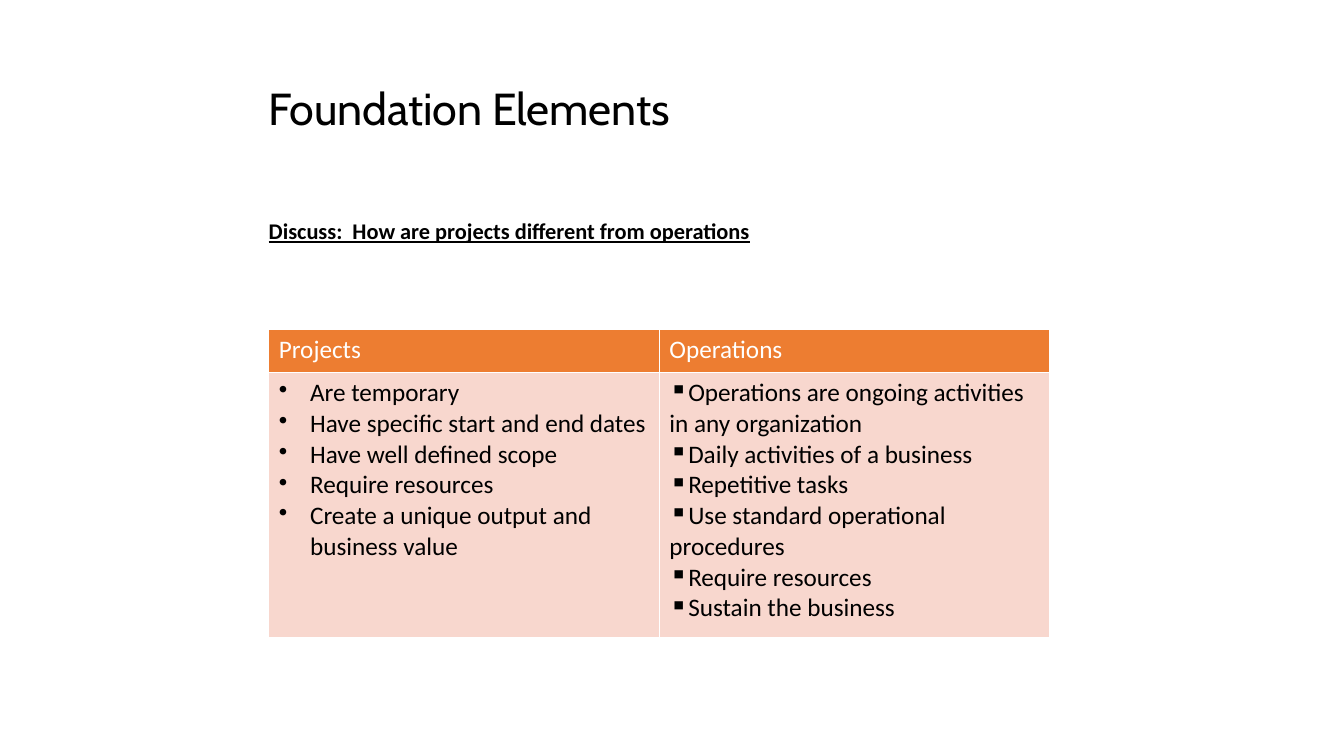
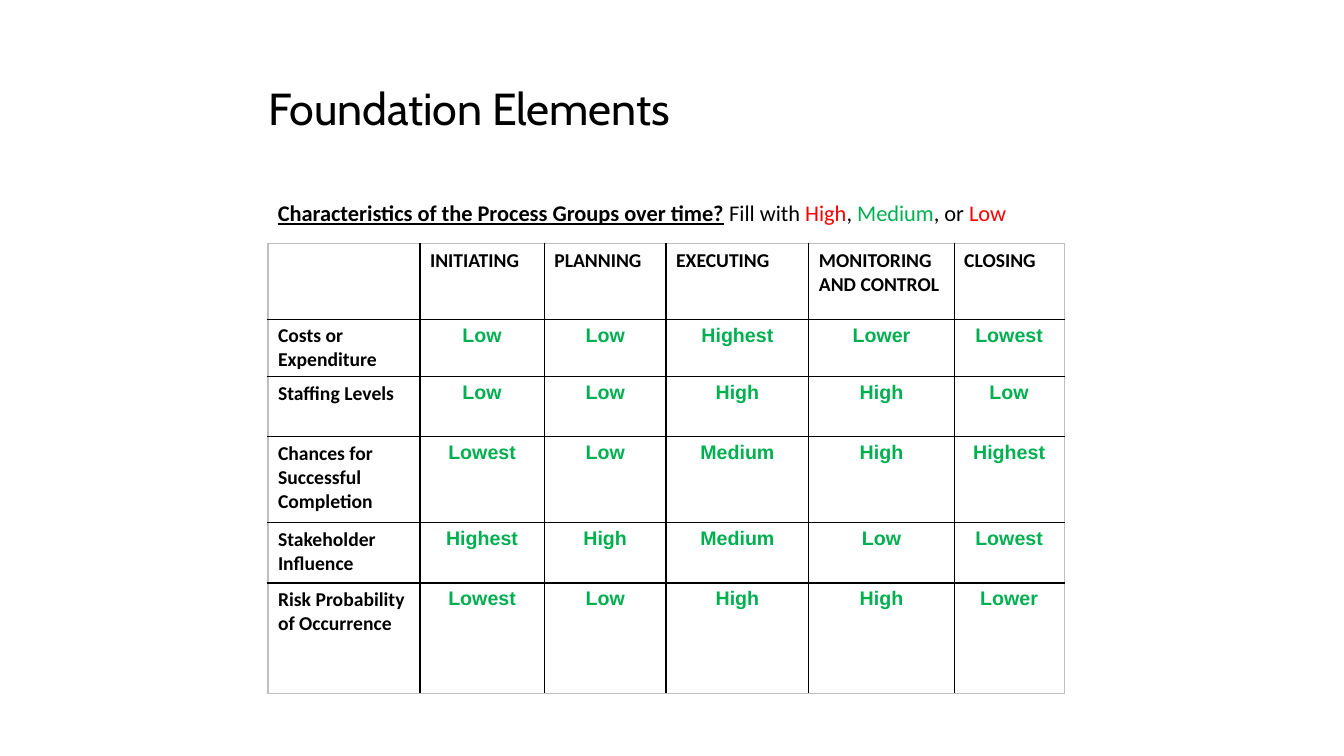
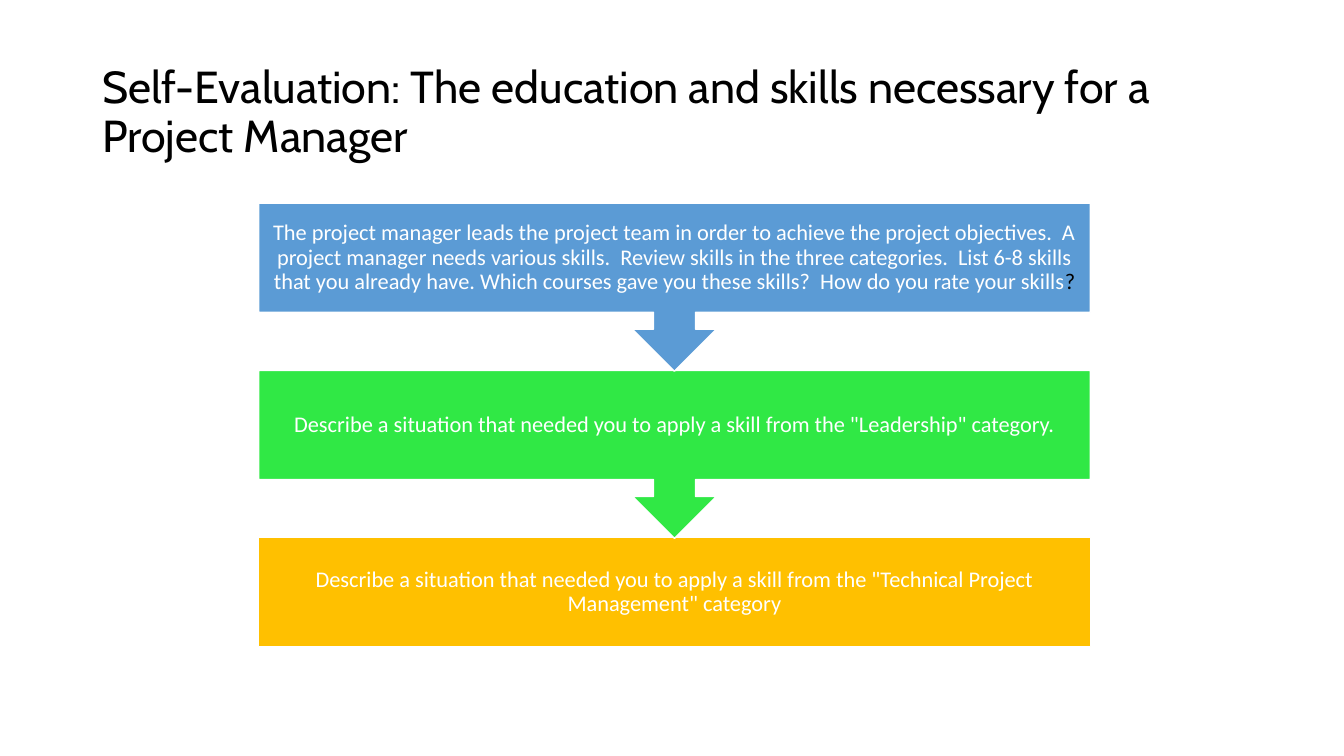
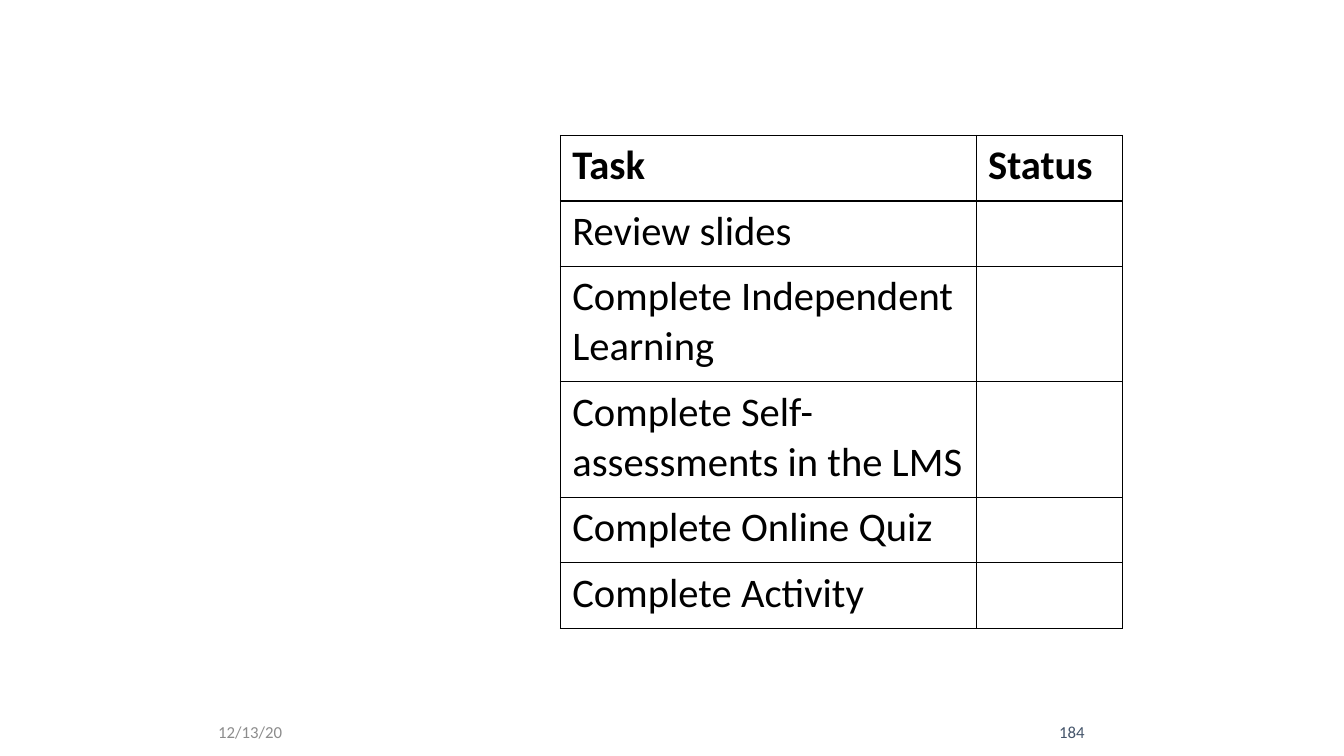
import dataclasses

import lxml.etree
import pptx
import pptx.dml.color
import pptx.enum.shapes
import pptx.enum.text
import pptx.oxml.ns
import pptx.util

COLUMNS, ROWS = 160, 90
CELL = pptx.util.Inches(1) // 12
CENTER = pptx.enum.text.PP_ALIGN.CENTER
RIGHT = pptx.enum.text.PP_ALIGN.RIGHT
MIDDLE = pptx.enum.text.MSO_ANCHOR.MIDDLE


@dataclasses.dataclass(frozen=True)
class Type:
    size: float
    color: str = "000000"
    font: str = "Calibri"
    bold: bool = False
    underline: bool = False


@dataclasses.dataclass(frozen=True)
class Theme:
    black: str = "000000"
    white: str = "FFFFFF"
    frame: str = "BFBFBF"
    header: str = "ED7D31"
    body: str = "F8D7CE"
    steps: tuple = ("5B9BD5", "30E845", "FFC000")
    title: Type = Type(32, font="Cabin")
    prompt: Type = Type(16, bold=True, underline=True)
    plain: Type = Type(16)
    high: Type = Type(16, "FF0000")
    medium: Type = Type(16, "00B050")
    step: Type = Type(16, "FFFFFF")
    compare_head: Type = Type(18, "FFFFFF")
    compare_body: Type = Type(18)
    label: Type = Type(14, bold=True)
    rating: Type = Type(14, "00B050", "Arial", True)
    task_head: Type = Type(29, bold=True)
    task: Type = Type(29)
    date: Type = Type(12, "8C8C8C")
    number: Type = Type(12, "44546A")


THEME = Theme()


def rgb(color):
    return pptx.dml.color.RGBColor.from_string(color)


def grid(length):
    """Turn a number of grid columns or rows into a length."""
    return pptx.util.Emu(round(length * CELL))


def style_run(run, style):
    font = run.font
    font.name, font.size = style.font, pptx.util.Pt(style.size)
    font.bold, font.underline = style.bold, style.underline
    font.color.rgb = rgb(style.color)


def style_frame(text_frame, style, align=None, line_spacing=None):
    for paragraph in text_frame.paragraphs:
        paragraph.alignment = align
        paragraph.line_spacing = line_spacing
        for run in paragraph.runs:
            style_run(run, style)


def add_text(slide, box, parts, align=None, anchor=None, line_spacing=None, side=0.1):
    """Place one paragraph made of (text, style) parts."""
    shape = slide.shapes.add_textbox(*map(grid, box))
    text_frame = shape.text_frame
    text_frame.word_wrap = True
    text_frame.vertical_anchor = anchor
    text_frame.margin_left = text_frame.margin_right = pptx.util.Inches(side)
    paragraph = text_frame.paragraphs[0]
    paragraph.alignment, paragraph.line_spacing = align, line_spacing
    for text, style in parts:
        run = paragraph.add_run()
        run.text = text
        style_run(run, style)
    return shape


def add_title(slide, box, text, tracking=0):
    shape = add_text(slide, box, [(text, THEME.title)], anchor=MIDDLE, line_spacing=0.9)
    if tracking:
        properties = shape.text_frame.paragraphs[0].runs[0].font._element
        properties.set("spc", str(round(tracking * 100)))


def add_foundation_title(slide):
    add_title(slide, (30.8, 3.7, 103.2, 19.1), "Foundation Elements", tracking=-0.1)


def set_borders(cell, left, right, top, bottom):
    """Draw the four sides of a cell, each given as (color, points)."""
    properties = cell._tc.get_or_add_tcPr()
    sides = zip(("lnL", "lnR", "lnT", "lnB"), (left, right, top, bottom))
    for index, (name, (color, width)) in enumerate(sides):
        line = lxml.etree.Element(pptx.oxml.ns.qn(f"a:{name}"), w=str(pptx.util.Pt(width)))
        fill = lxml.etree.SubElement(line, pptx.oxml.ns.qn("a:solidFill"))
        lxml.etree.SubElement(fill, pptx.oxml.ns.qn("a:srgbClr"), val=color)
        properties.insert(index, line)


def add_table(slide, origin, columns, rows, texts, inset=0.1):
    """Place a table of texts, unfilled, and return it."""
    size = (sum(columns), sum(rows))
    frame = slide.shapes.add_table(len(rows), len(columns), *map(grid, origin + size))
    table = frame.table
    table.horz_banding = False
    for column, width in zip(table.columns, columns):
        column.width = grid(width)
    for row, height, row_texts in zip(table.rows, rows, texts):
        row.height = grid(height)
        for cell, text in zip(row.cells, row_texts):
            cell.text = text
            cell.fill.background()
            cell.margin_left = cell.margin_right = pptx.util.Inches(inset)
            cell.margin_top = cell.margin_bottom = pptx.util.Inches(inset / 2)
    return table


def add_bullets(text_frame, character, indent):
    for paragraph in text_frame.paragraphs:
        properties = paragraph._p.get_or_add_pPr()
        properties.set("marL", str(pptx.util.Inches(indent)))
        properties.set("indent", str(-pptx.util.Inches(indent)))
        lxml.etree.SubElement(properties, pptx.oxml.ns.qn("a:buChar"), char=character)


def build_comparison(slide):
    add_foundation_title(slide)
    question = "Discuss:  How are projects different from operations"
    add_text(slide, (32, 25, 101, 52.8), [(question, THEME.prompt)], line_spacing=1.1, side=0)
    projects = (
        "Are temporary",
        "Have specific start and end dates",
        "Have well defined scope",
        "Require resources",
        "Create a unique output and business value",
    )
    operations = (
        "Operations are ongoing activities in any organization",
        "Daily activities of a business",
        "Repetitive tasks",
        "Use standard operational procedures",
        "Require resources",
        "Sustain the business",
    )
    texts = [("Projects", "Operations"), ("\n".join(projects), "\n".join(operations))]
    table = add_table(slide, (32, 39.25), (46.5, 46.5), (5.1, 31.6), texts)
    add_bullets(table.cell(1, 0).text_frame, "•", 0.31)
    add_bullets(table.cell(1, 1).text_frame, "▪", 0)
    looks = ((THEME.header, THEME.compare_head), (THEME.body, THEME.compare_body))
    for row, (fill, style) in zip(table.rows, looks):
        for cell in row.cells:
            set_borders(cell, *[(THEME.white, 1)] * 4)
            cell.fill.solid()
            cell.fill.fore_color.rgb = rgb(fill)
            style_frame(cell.text_frame, style)


def build_process_groups(slide):
    add_foundation_title(slide)
    prompt = [
        ("Characteristics of the Process Groups over time?", THEME.prompt),
        (" Fill with ", THEME.plain),
        ("High", THEME.high),
        (", ", THEME.plain),
        ("Medium", THEME.medium),
        (", or ", THEME.plain),
        ("Low", THEME.high),
    ]
    add_text(slide, (31.9, 22.8, 101, 52.8), prompt, line_spacing=1.1)
    texts = [
        ("", "INITIATING", "PLANNING", "EXECUTING", "MONITORING AND CONTROL", "CLOSING"),
        ("Costs or Expenditure", "Low", "Low", "Highest", "Lower", "Lowest"),
        ("Staffing Levels", "Low", "Low", "High", "High", "Low"),
        ("Chances for Successful Completion", "Lowest", "Low", "Medium", "High", "Highest"),
        ("Stakeholder Influence", "Highest", "High", "Medium", "Low", "Lowest"),
        ("Risk Probability of Occurrence", "Lowest", "Low", "High", "High", "Lower"),
    ]
    columns = (18.1, 14.8, 14.5, 17, 17.3, 13.1)
    rows = (9, 6.8, 7.2, 10.2, 7.2, 13.2)
    table = add_table(slide, (31.9, 29), columns, rows, texts)
    inner, outer = (THEME.black, 1), (THEME.frame, 1)
    last_row, last_column = len(rows) - 1, len(columns) - 1
    for i, row in enumerate(table.rows):
        for j, cell in enumerate(row.cells):
            on_edge = (j == 0, j == last_column, i == 0, i == last_row)
            set_borders(cell, *(outer if edge else inner for edge in on_edge))
            if i and j:
                style_frame(cell.text_frame, THEME.rating, CENTER)
            else:
                style_frame(cell.text_frame, THEME.label)


def add_step(slide, box, kind, color, text):
    shape = slide.shapes.add_shape(kind, *map(grid, box))
    shape.shadow.inherit = False
    shape.fill.solid()
    shape.fill.fore_color.rgb = rgb(color)
    shape.line.color.rgb = rgb(THEME.white)
    shape.line.width = pptx.util.Pt(1)
    text_frame = shape.text_frame
    text_frame.word_wrap = True
    text_frame.vertical_anchor = MIDDLE
    text_frame.margin_left = text_frame.margin_right = pptx.util.Inches(0.12)
    text_frame.margin_top = text_frame.margin_bottom = pptx.util.Inches(0.12)
    text_frame.text = text
    style_frame(text_frame, THEME.step, CENTER, 0.9)
    return shape


def add_flow(slide, left, top, width, texts):
    """Stack the steps from the bottom up, so each arrow tip lies on the next step."""
    pitch, callout_height, last_height = 19.9, 20, 13
    kinds = pptx.enum.shapes.MSO_SHAPE
    shapes = []
    for index in reversed(range(len(texts))):
        is_last = index == len(texts) - 1
        kind = kinds.RECTANGLE if is_last else kinds.DOWN_ARROW_CALLOUT
        height = last_height if is_last else callout_height
        box = (left, top + index * pitch, width, height)
        shapes.append(add_step(slide, box, kind, THEME.steps[index], texts[index]))
    return shapes[::-1]


def build_self_evaluation(slide):
    title = "Self-Evaluation: The education and skills necessary for a Project Manager"
    add_title(slide, (11, 4.8, 138, 17.4), title)
    texts = (
        "The project manager leads the project team in order to achieve the project objectives.  "
        "A project manager needs various skills.  Review skills in the three categories.  "
        "List 6-8 skills that you already have. Which courses gave you these skills?  "
        "How do you rate your skills",
        'Describe a situation that needed you to apply a skill from the "Leadership" category.',
        "Describe a situation that needed you to apply a skill from the "
        '"Technical Project Management" category',
    )
    first_step = add_flow(slide, 30.8, 24.2, 99, texts)[0]
    question_mark = first_step.text_frame.paragraphs[0].add_run()
    question_mark.text = "?"
    style_run(question_mark, THEME.plain)


def build_checklist(slide):
    add_text(slide, (24.8, 84.7, 17, 4.8), [("12/13/20", THEME.date)], anchor=MIDDLE)
    add_text(slide, (119.6, 84.7, 10.7, 4.8), [("184", THEME.number)], RIGHT, MIDDLE)
    tasks = (
        "Review slides",
        "Complete Independent Learning",
        "Complete Self-assessments in the LMS",
        "Complete Online Quiz",
        "Complete Activity",
    )
    texts = [("Task", "Status")] + [(task, "") for task in tasks]
    rows = (7.8, 7.8, 13.75, 13.75, 7.8, 7.8)
    table = add_table(slide, (66.7, 16.1), (49.5, 17.4), rows, texts, inset=0.12)
    thin, thick = (THEME.black, 0.75), (THEME.black, 1.37)
    for index, row in enumerate(table.rows):
        top = thick if index == 1 else thin
        bottom = thick if index == 0 else thin
        for cell in row.cells:
            set_borders(cell, thin, thin, top, bottom)
            style_frame(cell.text_frame, THEME.task if index else THEME.task_head)


def main():
    presentation = pptx.Presentation()
    presentation.slide_width = grid(COLUMNS)
    presentation.slide_height = grid(ROWS)
    blank = presentation.slide_layouts[6]
    for build in (build_comparison, build_process_groups, build_self_evaluation, build_checklist):
        build(presentation.slides.add_slide(blank))
    presentation.save("out.pptx")


if __name__ == "__main__":
    main()
